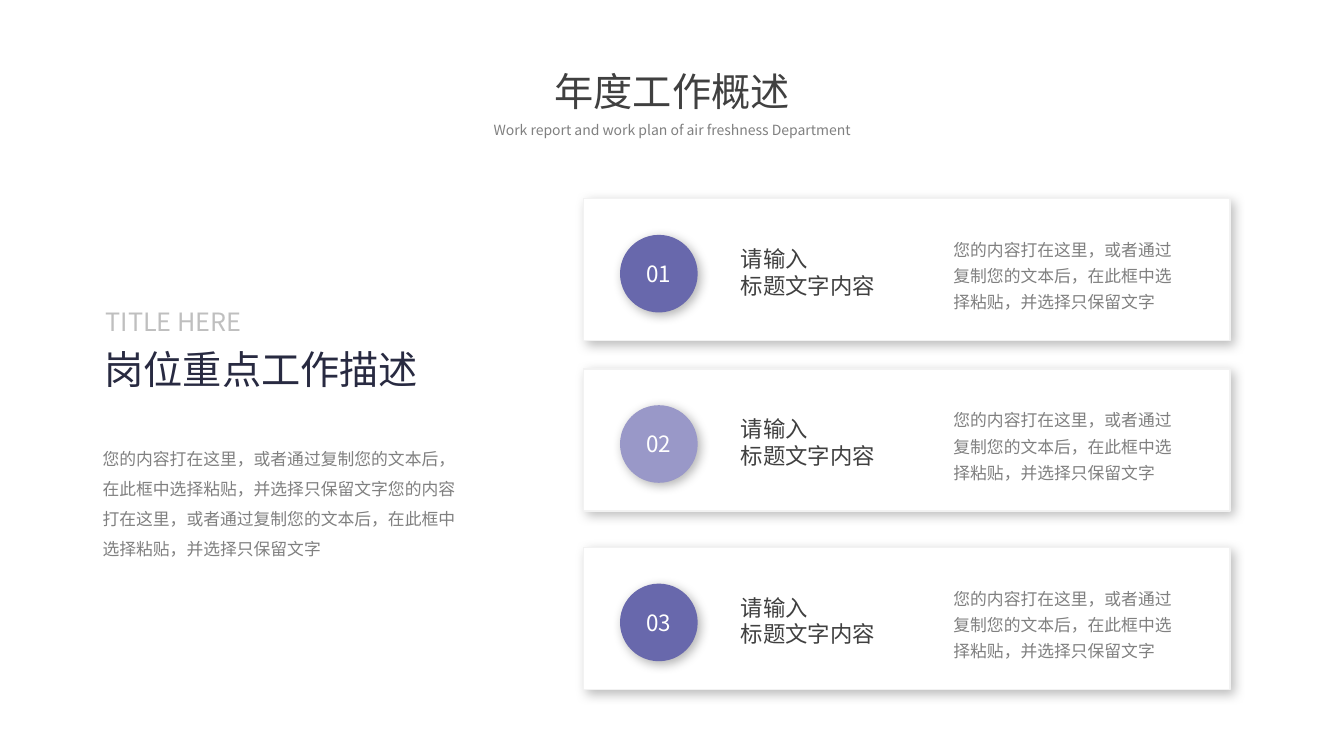
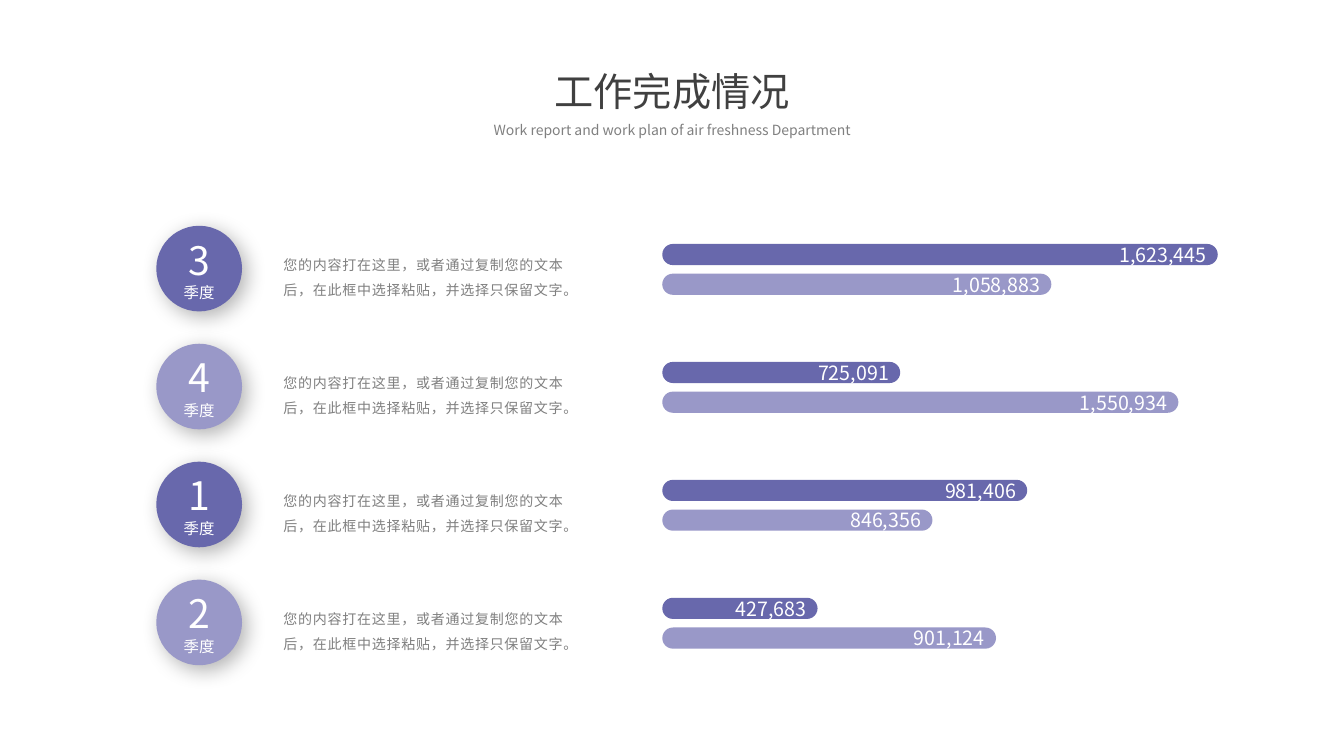
from lxml import etree
from pptx import Presentation
from pptx import util as u
from pptx.dml.color import RGBColor
from pptx.enum import shapes, text
from pptx.oxml.ns import qn

# Shared look
FONT = "Noto Sans CJK SC"
DEEP = RGBColor(0x68, 0x68, 0xAC)
PALE = RGBColor(0x99, 0x98, 0xC8)
WHITE = RGBColor(0xFF, 0xFF, 0xFF)
EDGE = RGBColor(0xF2, 0xF2, 0xF2)
NAVY = RGBColor(0x28, 0x2A, 0x41)
DARK = RGBColor(0x40, 0x40, 0x40)
GREY = RGBColor(0x80, 0x80, 0x80)
LIGHT = RGBColor(0xBF, 0xBF, 0xBF)
KIND = shapes.MSO_SHAPE
SIDE = text.PP_ALIGN
BODY = "您的内容打在这里，或者通过复制您的文本后，在此框中选择粘贴，并选择只保留文字"

deck = Presentation()
deck.slide_width, deck.slide_height = u.Inches(13.33), u.Inches(7.5)
W, H = deck.slide_width / 100, deck.slide_height / 100


def put(page, area, kind=None, fill=None, shade=None):
    """Place a shape, or a text box without kind; area is in percent of the slide."""
    x, y, w, h = area
    spot = [round(v) for v in (x * W, y * H, w * W, h * H)]
    if kind is None:
        return page.shapes.add_textbox(*spot)
    item = page.shapes.add_shape(kind, *spot)
    item.shadow.inherit = False
    item.fill.solid()
    item.fill.fore_color.rgb = fill
    item.line.fill.background()
    if shade:
        alpha, blur, dist = shade
        glow = etree.SubElement(
            item._element.spPr.find(qn("a:effectLst")), qn("a:outerShdw"),
            blurRad=str(u.Pt(blur)), dist=str(u.Pt(dist)), dir="2700000",
            algn="tl", rotWithShape="0")
        tint = etree.SubElement(glow, qn("a:srgbClr"), val="000000")
        etree.SubElement(tint, qn("a:alpha"), val=str(alpha * 1000))
    return item


def write(item, lines, align=SIDE.LEFT, lead=None, pad=None, wrap=True, track=None):
    """Fill an item with lines of (words, size, colour); pad is in inches."""
    frame = item.text_frame
    frame.word_wrap = wrap
    if item.shape_type == shapes.MSO_SHAPE_TYPE.TEXT_BOX:
        frame.auto_size = text.MSO_AUTO_SIZE.SHAPE_TO_FIT_TEXT
    else:
        frame.vertical_anchor = text.MSO_ANCHOR.MIDDLE
    if pad:
        (frame.margin_left, frame.margin_top,
         frame.margin_right, frame.margin_bottom) = [u.Inches(v) for v in pad]
    for i, (words, size, ink) in enumerate(lines):
        para = frame.add_paragraph() if i else frame.paragraphs[0]
        para.alignment = align
        if lead:
            para.line_spacing = lead
        run = para.add_run()
        run.text = words
        run.font.size = u.Pt(size)
        run.font.color.rgb = ink
        run.font.name = FONT
        props = run.font._element
        etree.SubElement(props, qn("a:ea"), typeface=FONT)
        if track:
            props.set("spc", str(track))


# Slides with their heading
pages = []
for name in ("年度工作概述", "工作完成情况"):
    page = deck.slides.add_slide(deck.slide_layouts[6])
    write(put(page, (25.1, 8.27, 49.8, 7.6)), [(name, 28, DARK)], SIDE.CENTER)
    write(put(page, (26.6, 15.73, 46.8, 3.33)),
          [("Work report and work plan of air freshness Department", 10, GREY)],
          SIDE.CENTER, 0.9)
    pages.append(page)
plan, done = pages

# Overview: introduction on the left
write(put(plan, (7.05, 45.07, 25.05, 7.6)), [("岗位重点工作描述", 28, NAVY)], wrap=False)
write(put(plan, (7.12, 39.87, 12.3, 5.33)), [("TITLE HERE", 18, LIGHT)], wrap=False)
write(put(plan, (6.9, 57.33, 28.13, 17.47)), [(BODY * 2, 12, GREY)], lead=1.5)

# Overview: three cards on the right
for i, top in enumerate((26.27, 48.8, 72.4)):
    card = put(plan, (43.43, top, 48.08, 18.8), KIND.RECTANGLE, WHITE, (25, 8, 3))
    card.line.color.rgb = EDGE
    card.line.width = u.Pt(1)
    disc = put(plan, (46.13, top + 4.8, 5.78, 10.27), KIND.OVAL,
               (DEEP, PALE)[i % 2], (30, 8, 3))
    write(disc, [(f"{i + 1:02}", 16, WHITE)], SIDE.CENTER, pad=(0, 0, 0, 0))
    write(put(plan, (70.2, top + 4, 18.15, 11.87)), [(BODY, 12, GREY)], lead=1.3)
    write(put(plan, (54.38, top + 5.47, 11.63, 8.53)),
          [("请输入", 16, DARK), ("标题文字内容", 16, DARK)], wrap=False)

# Results: quarter, then value and bar width for each of its two bars
rows = (
    ("3", (("1,623,445", 41.33), ("1,058,883", 28.95))),
    ("4", (("725,091", 17.7), ("1,550,934", 38.4))),
    ("1", (("981,406", 27.15), ("846,356", 20.1))),
    ("2", (("427,683", 11.55), ("901,124", 24.83))),
)
for i, (term, bars) in enumerate(rows):
    top = 29.87 + 15.6 * i
    disc = put(done, (11.63, top, 6.38, 11.33), KIND.OVAL,
               (DEEP, PALE)[i % 2], (30, 15, 5))
    write(disc, [(term, 28, WHITE), ("季度", 11, WHITE)], SIDE.CENTER)
    write(put(done, (21.08, top + 2.93, 20.85, 6.4)), [(BODY + "。", 10, GREY)],
          SIDE.JUSTIFY, u.Pt(18), (0, 0, 0, 0), track=50)
    for j, (value, width) in enumerate(bars):
        bar = put(done, (49.28, top + 2.4 + 3.93 * j, width, 2.8),
                  KIND.ROUNDED_RECTANGLE, (DEEP, PALE)[j])
        bar.adjustments[0] = 0.5
        write(bar, [(value, 14, WHITE)], SIDE.RIGHT, pad=(0, 0.05, 0.08, 0.05))

deck.save("out.pptx")
